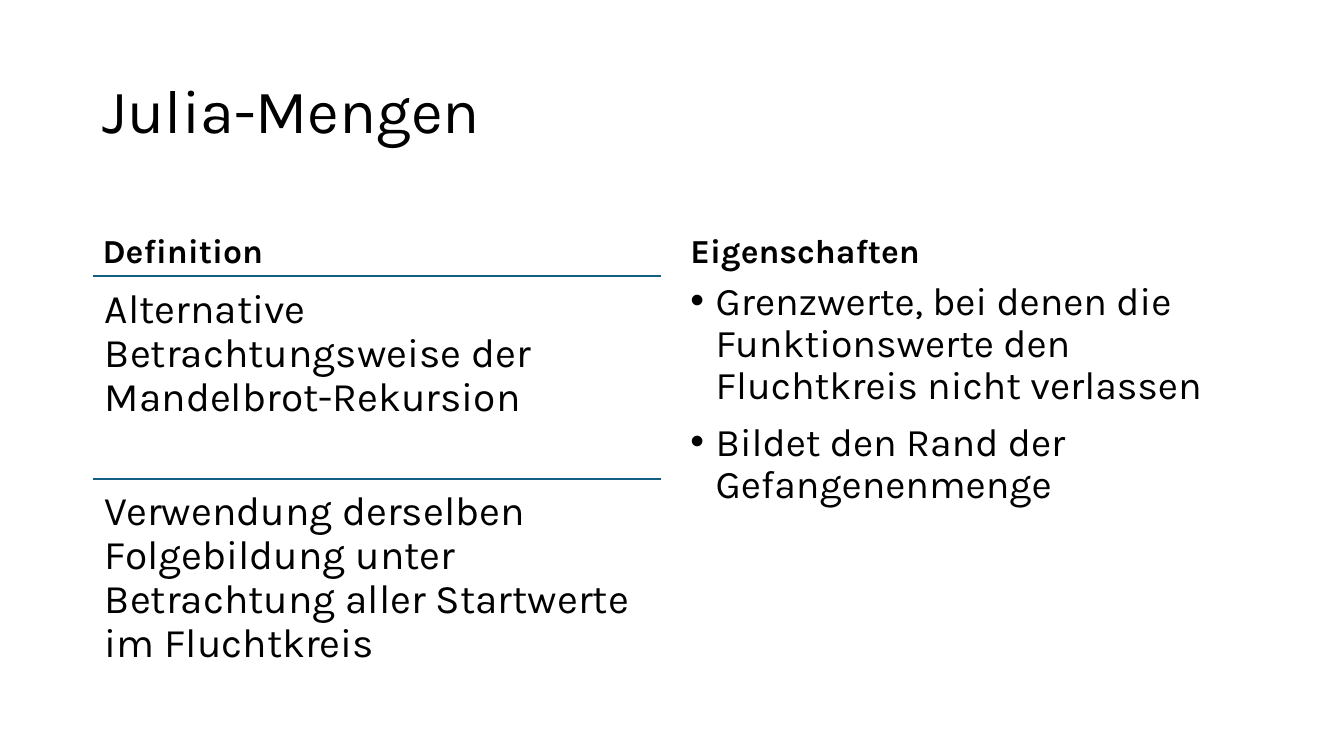
from lxml import etree
from pptx import Presentation
from pptx.dml.color import RGBColor
from pptx.enum.shapes import MSO_CONNECTOR
from pptx.enum.text import MSO_ANCHOR
from pptx.oxml.ns import qn
from pptx.util import Inches, Pt

TOP, MIDDLE, BOTTOM = MSO_ANCHOR.TOP, MSO_ANCHOR.MIDDLE, MSO_ANCHOR.BOTTOM
STRAIGHT = MSO_CONNECTOR.STRAIGHT

TITLE = "Julia-Mengen"
DEFINITION_HEADING = "Definition"
DEFINITIONS = [
    "Alternative Betrachtungsweise der Mandelbrot-Rekursion",
    "Verwendung derselben Folgebildung unter Betrachtung aller Startwerte im Fluchtkreis",
]
PROPERTIES_HEADING = "Eigenschaften"
PROPERTIES = [
    "Grenzwerte, bei denen die Funktionswerte den Fluchtkreis nicht verlassen",
    "Bildet den Rand der Gefangenenmenge",
]

FONT = "Karla"
COLORS = {"text": "000000", "rule": "156082"}
LEFT_X, LEFT_WIDTH = 0.92, 5.64
RIGHT_X, RIGHT_WIDTH = 6.75, 5.67
HEADING_Y, HEADING_HEIGHT = 1.84, 0.9
BODY_Y = HEADING_Y + HEADING_HEIGHT
DEFINITION_HEIGHT = 2.01
PROPERTIES_HEIGHT = 4.03


def add_text(slide, box, lines, size, anchor=TOP, bold=False, inset=None,
             space_before=0, bullets=False):
    """Add a text box; box is left, top, width, height in inches."""
    shape = slide.shapes.add_textbox(*map(Inches, box))
    text_frame = shape.text_frame
    text_frame.word_wrap = True
    text_frame.vertical_anchor = anchor
    if inset is not None:
        text_frame.margin_left = text_frame.margin_right = Inches(inset)
        text_frame.margin_top = text_frame.margin_bottom = Inches(inset)
    text_frame.text = "\n".join(lines)
    for paragraph in text_frame.paragraphs:
        paragraph.line_spacing = 0.9
        paragraph.space_before = Pt(space_before)
        if bullets:
            add_bullet(paragraph)
        font = paragraph.runs[0].font
        font.name = FONT
        font.size = Pt(size)
        font.bold = bold
        font.color.rgb = RGBColor.from_string(COLORS["text"])


def add_bullet(paragraph):
    properties = paragraph._p.get_or_add_pPr()
    properties.set("marL", str(Inches(0.25)))
    properties.set("indent", str(-Inches(0.25)))
    etree.SubElement(properties, qn("a:buFont")).set("typeface", "Arial")
    etree.SubElement(properties, qn("a:buChar")).set("char", "•")


def add_rule(slide, y):
    rule = slide.shapes.add_connector(
        STRAIGHT, Inches(LEFT_X), Inches(y), Inches(LEFT_X + LEFT_WIDTH), Inches(y))
    rule.line.color.rgb = RGBColor.from_string(COLORS["rule"])
    rule.line.width = Pt(1.5)
    etree.SubElement(rule._element.spPr, qn("a:effectLst"))


def main():
    presentation = Presentation()
    presentation.slide_width = Inches(13.33)
    presentation.slide_height = Inches(7.5)
    slide = presentation.slides.add_slide(presentation.slide_layouts[6])

    add_text(slide, (LEFT_X, 0.4, 11.5, 1.45), [TITLE], 44, MIDDLE)

    for heading, x, width in ((DEFINITION_HEADING, LEFT_X, LEFT_WIDTH),
                              (PROPERTIES_HEADING, RIGHT_X, RIGHT_WIDTH)):
        add_text(slide, (x, HEADING_Y, width, HEADING_HEIGHT), [heading], 24,
                 BOTTOM, bold=True, space_before=10)

    for index, definition in enumerate(DEFINITIONS):
        y = BODY_Y + index * DEFINITION_HEIGHT
        add_rule(slide, y)
        add_text(slide, (LEFT_X, y, LEFT_WIDTH, DEFINITION_HEIGHT), [definition],
                 29, inset=0.12)

    add_text(slide, (RIGHT_X, BODY_Y, RIGHT_WIDTH, PROPERTIES_HEIGHT), PROPERTIES,
             28, space_before=10, bullets=True)

    presentation.save("out.pptx")


if __name__ == "__main__":
    main()
